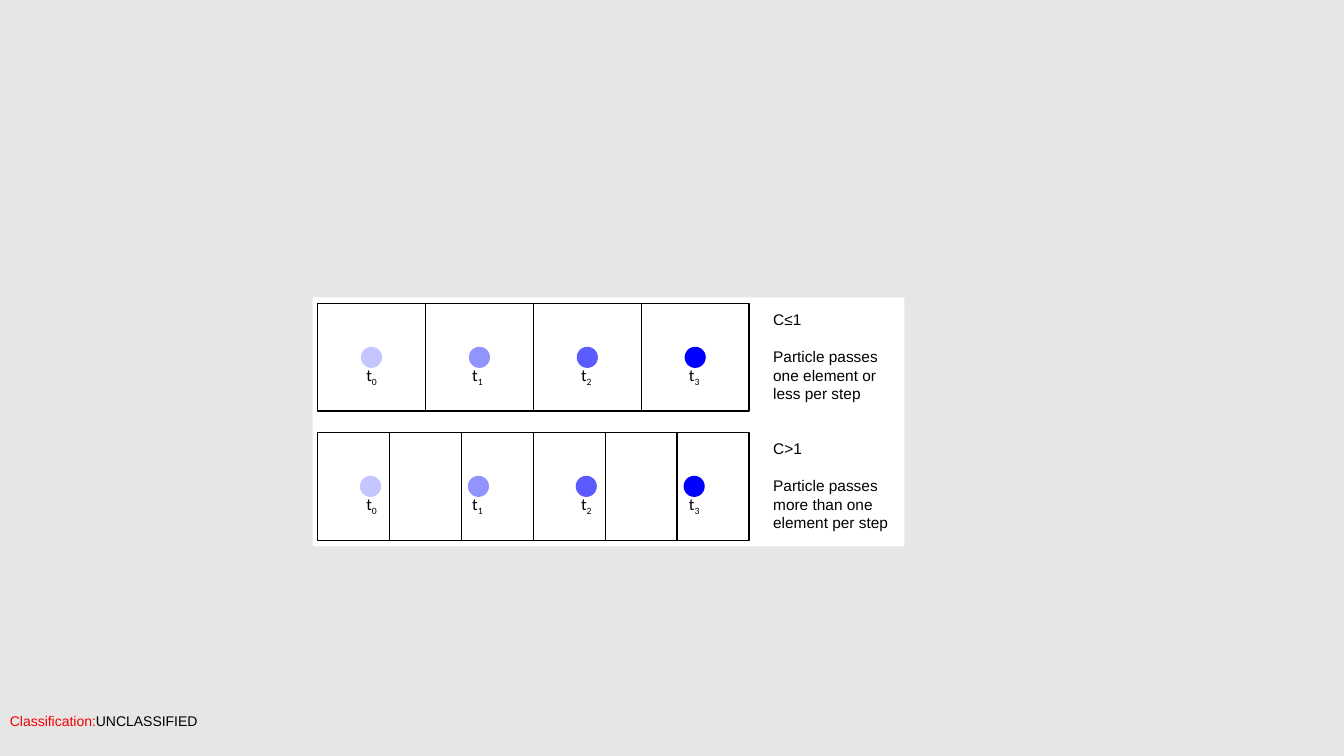
from pptx import Presentation
from pptx.dml.color import RGBColor
from pptx.enum.shapes import MSO_SHAPE
from pptx.enum.text import MSO_ANCHOR, MSO_AUTO_SIZE, PP_ALIGN
from pptx.util import Inches, Pt

BLACK, WHITE, RED, GREY = "000000", "FFFFFF", "F00000", "E7E6E6"
DOT_COLOURS = ["C5C5FF", "9393FF", "5B5BFF", "0000FF"]
LABEL_LEFTS = [3.53, 4.58, 5.66, 6.73]
GRID_LEFT, GRID_WIDTH, CELL_HEIGHT = 3.15, 4.28, 1.07
DOT_SIZE, DOT_STEP = 0.21, 1.07


def colour(value):
    return RGBColor.from_string(value)


class Painter:
    def __init__(self, page):
        self.page = page

    def background(self, fill):
        self.page.background.fill.solid()
        self.page.background.fill.fore_color.rgb = colour(fill)

    def shape(self, kind, left, top, width, height, fill=None, line=None, parent=None):
        shapes = (parent or self.page).shapes
        shape = shapes.add_shape(kind, Inches(left), Inches(top), Inches(width), Inches(height))
        shape.shadow.inherit = False
        if fill:
            shape.fill.solid()
            shape.fill.fore_color.rgb = colour(fill)
        else:
            shape.fill.background()
        if line:
            shape.line.color.rgb = colour(line)
            shape.line.width = Pt(1)
        else:
            shape.line.fill.background()
        return shape

    def cells(self, top, count):
        group = self.page.shapes.add_group_shape()
        width = GRID_WIDTH / count
        for column in range(count):
            self.shape(MSO_SHAPE.RECTANGLE, GRID_LEFT + column * width, top,
                       width, CELL_HEIGHT, line=BLACK, parent=group)

    def text_box(self, left, top, width, height, wrap=True, grow=True):
        box = self.page.shapes.add_textbox(Inches(left), Inches(top), Inches(width), Inches(height))
        frame = box.text_frame
        frame.word_wrap = wrap
        frame.auto_size = MSO_AUTO_SIZE.SHAPE_TO_FIT_TEXT if grow else MSO_AUTO_SIZE.NONE
        return frame

    def span(self, para, text, size, font="Arial", fill=BLACK):
        span = para.add_run()
        span.text = text
        span.font.size = Pt(size)
        span.font.name = font
        span.font.color.rgb = colour(fill)
        return span

    def time_label(self, left, top, step):
        para = self.text_box(left, top, 0.31, 0.3, wrap=False).paragraphs[0]
        para.alignment = PP_ALIGN.CENTER
        self.span(para, "t", 12, "Calibri")
        index = self.span(para, str(step), 12, "Calibri")
        index.font._element.set("baseline", "-25000")

    def explanation(self, top, condition, meaning):
        frame = self.text_box(7.57, top, 1.39, 1.03)
        self.span(frame.paragraphs[0], condition, 11)
        para = frame.add_paragraph()
        para.space_before = Pt(13.3)
        self.span(para, meaning, 11)

    def particle_row(self, top, cell_count, dot_left, condition, meaning):
        self.cells(top, cell_count)
        for step, fill in enumerate(DOT_COLOURS):
            self.shape(MSO_SHAPE.OVAL, dot_left + step * DOT_STEP, top + 0.43,
                       DOT_SIZE, DOT_SIZE, fill=fill)
        for step, left in enumerate(LABEL_LEFTS):
            self.time_label(left, top + 0.56, step)
        self.explanation(top + 0.02, condition, meaning)


def main():
    deck = Presentation()
    deck.slide_width, deck.slide_height = Inches(13.33), Inches(7.5)
    painter = Painter(deck.slides.add_slide(deck.slide_layouts[6]))
    painter.background(GREY)

    # White panel with the two particle rows
    painter.shape(MSO_SHAPE.RECTANGLE, 3.1, 2.95, 5.87, 2.47, fill=WHITE)
    painter.particle_row(3.01, 4, 3.58, "C≤1",
                         "Particle passes one element or less per step")
    painter.particle_row(4.29, 6, 3.57, "C>1",
                         "Particle passes more than one element per step")

    # Classification line
    frame = painter.text_box(0, 6.95, 13.33, 0.4, grow=False)
    frame.vertical_anchor = MSO_ANCHOR.MIDDLE
    painter.span(frame.paragraphs[0], "Classification:", 10, fill=RED)
    painter.span(frame.paragraphs[0], "UNCLASSIFIED", 10)

    deck.save("out.pptx")


if __name__ == "__main__":
    main()
